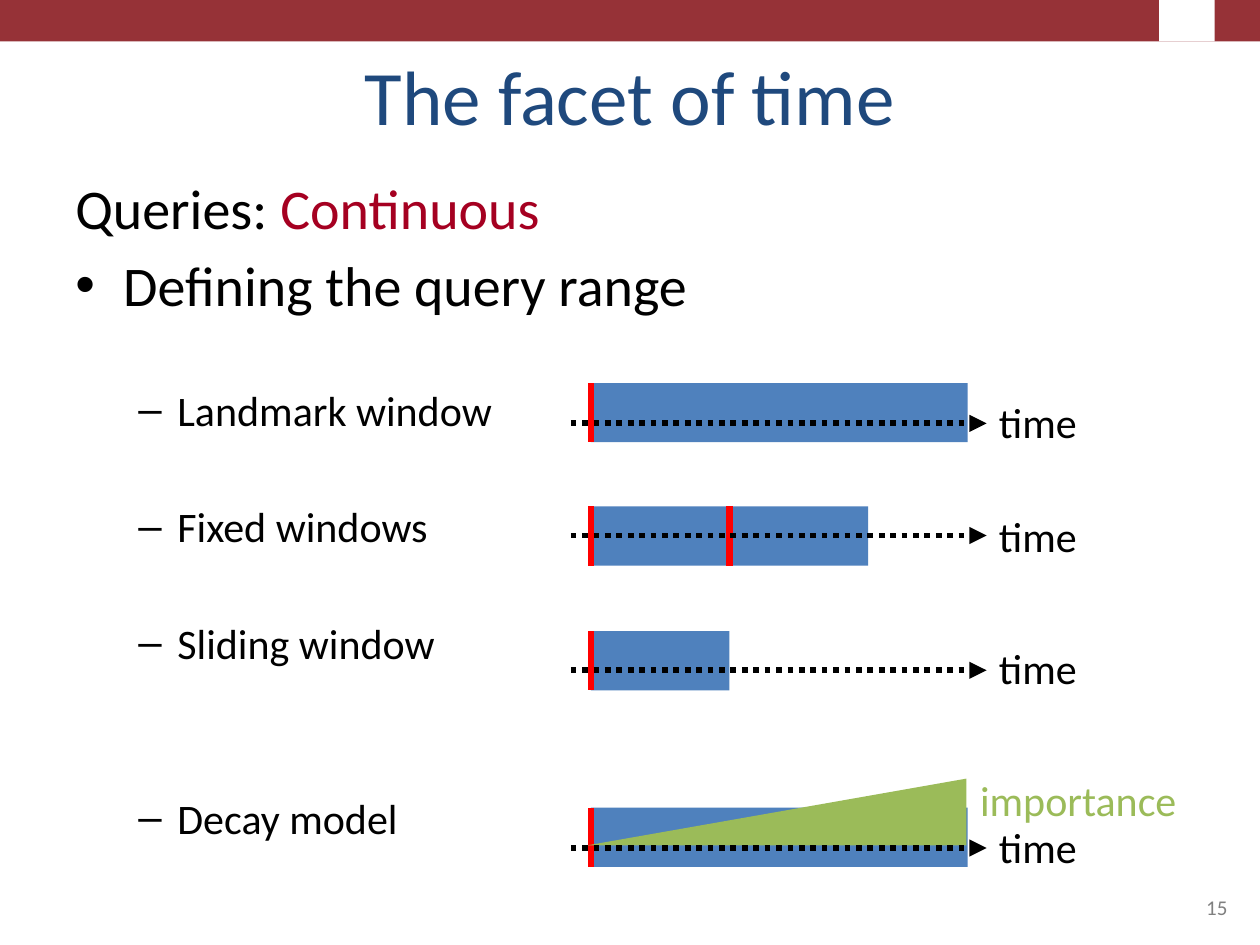
from lxml import etree
from pptx import Presentation
from pptx import util as u
from pptx.dml.color import RGBColor
from pptx.enum import dml, shapes, text
from pptx.oxml.ns import qn

THEME = {
    "font": "Calibri",
    "banner": "963237", "title": "1F497D", "ink": "000000", "accent": "A50021",
    "window": "4F81BD", "mark": "FF0000", "decay": "9BBB59",
    "number": "808080", "paper": "FFFFFF",
    "title_size": 44, "lead_size": 32, "label_size": 24, "number_size": 12,
}

TITLE = "The facet of time"
PAGE_NUMBER = "15"
# spans as (text, colour), bullet, size, left indent, hanging indent, space before in points
BODY = [
    ([("Queries: ", "ink"), ("Continuous", "accent")], None, "lead_size", 0, 0, 0),
    ([("Defining the query range", "ink")], "•", "lead_size", 0.38, 0.38, 5.6),
    ([("Landmark window", "ink")], "–", "label_size", 0.81, 0.31, 37.8),
    ([("Fixed windows", "ink")], "–", "label_size", 0.81, 0.31, 37.8),
    ([("Sliding window", "ink")], "–", "label_size", 0.81, 0.31, 37.8),
    ([("Decay model", "ink")], "–", "label_size", 0.81, 0.31, 71.3),
]
FULL, SHORT = 2.99, 1.1
# top of the bar, widths of its windows, height of the time axis, top of its label
TIMELINES = [
    (3.04, [FULL], 3.36, 3.1),
    (4.02, [SHORT, SHORT], 4.25, 4.0),
    (5.01, [SHORT], 5.32, 5.05),
    (6.41, [FULL], 6.73, 6.47),
]
BAR_LEFT, BAR_HEIGHT = 4.69, 0.47
AXIS_LEFT, AXIS_RIGHT = 4.53, 7.83

deck = Presentation()
deck.slide_width, deck.slide_height = u.Inches(10), u.Inches(7.5)
page = deck.slides.add_slide(deck.slide_layouts[6])


def colour(name):
    return RGBColor.from_string(THEME[name])


def add_block(kind, left, top, width, height, fill):
    block = page.shapes.add_shape(kind, *map(u.Inches, (left, top, width, height)))
    block.shadow.inherit = False
    block.fill.solid()
    block.fill.fore_color.rgb = colour(fill)
    block.line.fill.background()
    return block


def add_line(start, end, ink, width):
    line = page.shapes.add_connector(
        shapes.MSO_CONNECTOR.STRAIGHT, *map(u.Inches, (*start, *end)))
    line.line.color.rgb = colour(ink)
    line.line.width = u.Pt(width)
    etree.SubElement(line._element.spPr, qn("a:effectLst"))
    return line


def add_axis(y):
    axis = add_line((AXIS_LEFT, y), (AXIS_RIGHT, y), "ink", 3.25)
    axis.line.dash_style = dml.MSO_LINE.ROUND_DOT
    etree.SubElement(axis.line._get_or_add_ln(), qn("a:tailEnd"), type="triangle")


def add_box(left, top, width, height, wrap=True, anchor=text.MSO_ANCHOR.TOP):
    box = page.shapes.add_textbox(*map(u.Inches, (left, top, width, height)))
    box.text_frame.word_wrap = wrap
    box.text_frame.vertical_anchor = anchor
    return box.text_frame


def style(font, size, ink):
    font.name = THEME["font"]
    font.size = u.Pt(THEME[size])
    font.color.rgb = colour(ink)


def add_label(words, place, size, ink, align=text.PP_ALIGN.LEFT, **options):
    frame = add_box(*place, **options)
    frame.text = words
    para = frame.paragraphs[0]
    para.alignment = align
    style(para.runs[0].font, size, ink)


def set_bullet(para, bullet, left, hanging):
    properties = para._p.get_or_add_pPr()
    properties.set("marL", str(u.Inches(left)))
    properties.set("indent", str(-u.Inches(hanging)))
    if bullet:
        etree.SubElement(properties, qn("a:buFont"), typeface="Arial")
        etree.SubElement(properties, qn("a:buChar"), char=bullet)


def add_body():
    frame = add_box(0.5, 1.33, 5.44, 5.37)
    for index, (spans, bullet, size, left, hanging, before) in enumerate(BODY):
        para = frame.paragraphs[0] if index == 0 else frame.add_paragraph()
        set_bullet(para, bullet, left, hanging)
        para.space_before = u.Pt(before)
        for words, ink in spans:
            span = para.add_run()
            span.text = words
            style(span.font, size, ink)


def add_windows(top, widths):
    """Draw adjoining windows, each with a mark where it starts."""
    starts = [BAR_LEFT + sum(widths[:index]) for index in range(len(widths))]
    for start, width in zip(starts, widths):
        add_block(shapes.MSO_SHAPE.RECTANGLE, start, top, width, BAR_HEIGHT, "window")
    for start in starts:
        add_line((start, top), (start, top + BAR_HEIGHT), "mark", 3.5)


def add_decay():
    triangle = add_block(shapes.MSO_SHAPE.RIGHT_TRIANGLE, 4.66, 6.18, 3.01, 0.53, "decay")
    triangle._element.spPr.get_or_add_xfrm().set("flipH", "1")
    add_label("importance", (7.68, 6.1, 1.78, 0.5), "label_size", "decay", wrap=False)


add_block(shapes.MSO_SHAPE.RECTANGLE, 0, 0, 10, 0.33, "banner")
add_block(shapes.MSO_SHAPE.RECTANGLE, 9.2, 0, 0.44, 0.33, "paper")
add_label(TITLE, (0.5, 0.3, 9, 0.87), "title_size", "title",
          text.PP_ALIGN.CENTER, anchor=text.MSO_ANCHOR.BOTTOM)
add_body()
add_decay_after = len(TIMELINES) - 1
for row, (top, widths, axis_y, label_top) in enumerate(TIMELINES):
    add_windows(top, widths)
    if row == add_decay_after:
        add_decay()
    add_axis(axis_y)
    add_label("time", (AXIS_RIGHT, label_top, 0.83, 0.5), "label_size", "ink", wrap=False)
add_label(PAGE_NUMBER, (7.17, 6.83, 2.67, 0.52), "number_size", "number",
          text.PP_ALIGN.RIGHT, anchor=text.MSO_ANCHOR.BOTTOM)

deck.save("out.pptx")
